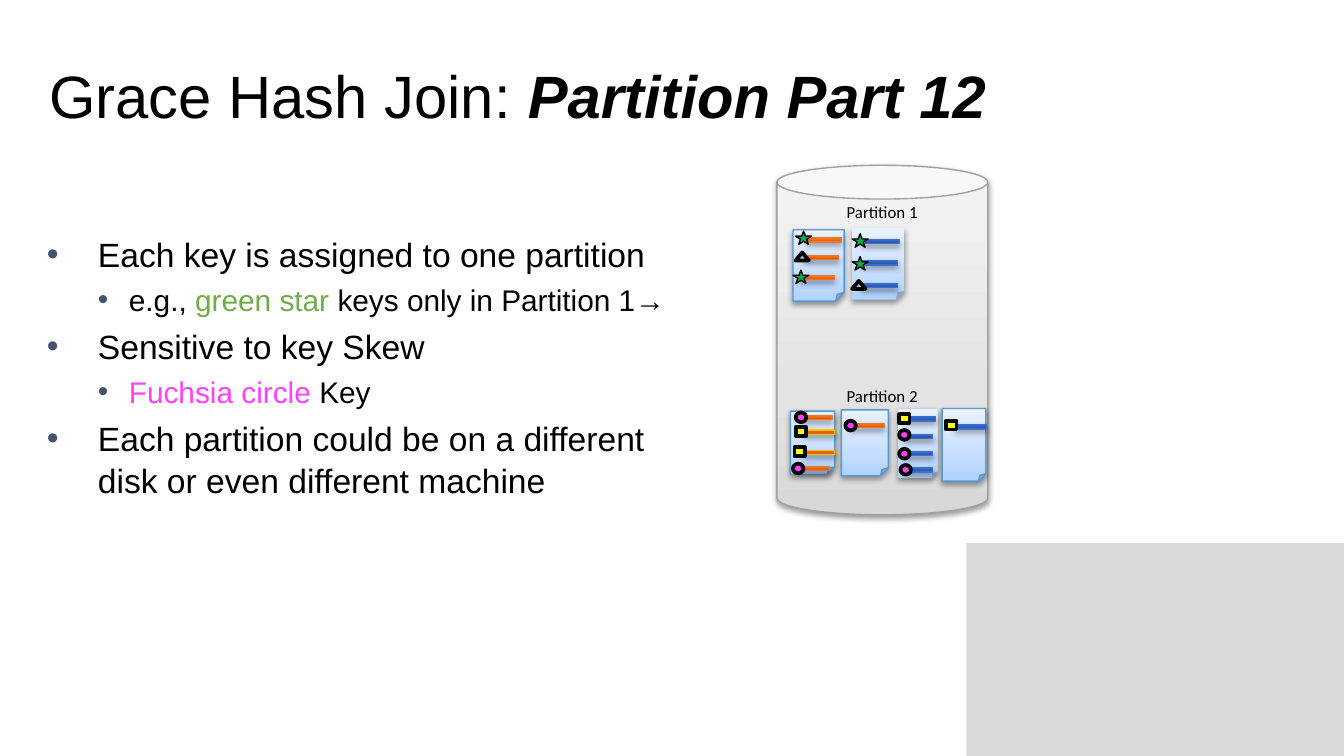
"""Build the slide on Grace hash join partitioning."""
from dataclasses import dataclass

from lxml import etree
from pptx import Presentation
from pptx import util as u
from pptx.dml.color import RGBColor
from pptx.enum import shapes, text
from pptx.oxml import ns

Pt = u.Pt
KIND = shapes.MSO_SHAPE


@dataclass(frozen=True)
class Theme:
    """Colours, fonts and type sizes."""
    ink: str = "000000"
    green: str = "70AD47"
    fuchsia: str = "FF40FF"
    bullet: str = "44516F"
    panel: str = "D9D9D9"
    disk: tuple = ((0, "D8D8D8"), (35, "E3E3E3"), (100, "F4F4F4"))
    disk_edge: str = "A1A1A1"
    page: tuple = ((0, "AFD2FF"), (35, "C6DEFF"), (100, "E9F2FF"))
    page_edge: str = "5698D3"
    orange: tuple = ((0, "C3580F"), (80, "FF7416"), (100, "FF7517"))
    blue: tuple = ((0, "24509E"), (80, "2F69D0"), (100, "2C69D4"))
    font: str = "Arial"
    label_font: str = "Calibri"
    title_size: float = 32
    point_size: float = 18
    detail_size: float = 16
    label_size: float = 9


THEME = Theme()
BARS = {
    "orange": (THEME.orange, "EC792B"),
    "gold": ("E16513", "FFC000"),
    "blue": (THEME.blue, "3F6EC3"),
}
KEYS = {
    "star": (KIND.STAR_5_POINT, 8.6, 7.2, "00B050", 0.75),
    "triangle": (KIND.ISOSCELES_TRIANGLE, 7.2, 4.3, "BFBFBF", 2),
    "circle": (KIND.OVAL, 5.6, 5.2, THEME.fuchsia, 2),
    "square": (KIND.RECTANGLE, 5.6, 4.7, "FFFF00", 2),
}
PAGES = [
    ((424.8, 123.1, 27.4, 38.2), THEME.page_edge, 18.7, [
        ("triangle", 1.4, 12.2, "orange", 5.8, 13.7),
        ("star", 1.4, 0.7, "orange", 7.2, 4.3),
        ("star", 0, 21.6, "orange", 3.6, 24.5)]),
    ((423.4, 220.3, 23.8, 33.8), THEME.page_edge, 16.6, [
        ("circle", 2.9, 0.7, "orange", 5.8, 2.2),
        ("square", 2.9, 8.6, "gold", 7.2, 10.1),
        ("circle", 1.4, 28.1, "orange", 4.3, 29.5),
        ("square", 2.2, 19.4, "gold", 7.2, 20.9)]),
    ((450.7, 219.6, 25.2, 35.3), THEME.page_edge, 18, [
        ("circle", 2.2, 5.8, "orange", 5, 7.2)]),
    ((481, 218.9, 21.6, 37.4), None, 15.1, [
        ("circle", 0.7, 11.5, "blue", 3.6, 13.7),
        ("circle", 0.7, 21.6, "blue", 3.6, 23),
        ("square", 0.7, 2.9, "blue", 5, 4.3),
        ("circle", 1.4, 30.2, "blue", 3.6, 31.7)]),
    ((504.7, 218.9, 23.4, 38.9), THEME.page_edge, 16.6, [
        ("square", 2.2, 6.5, "blue", 7.2, 8.6)]),
    ((456.5, 122.4, 28.1, 38.2), None, 19.4, [
        ("star", 0, 2.9, "blue", 5.8, 5.8),
        ("triangle", 0, 28.1, "blue", 5, 29.5),
        ("star", 0, 15.1, "blue", 5, 17.3)]),
]
POINTS = [
    (0, [("Each key is assigned to one partition", {})]),
    (1, [("e.g., ", {}), ("green star ", {"color": THEME.green}),
         ("keys only in Partition 1→", {})]),
    (0, [("Sensitive to key Skew", {})]),
    (1, [("Fuchsia circle", {"color": THEME.fuchsia}), (" Key", {})]),
    (0, [("Each partition could be on a different disk or even different machine", {})]),
]


def add_child(parent, tag, **attributes):
    """Append a drawing element with its attributes."""
    return etree.SubElement(parent, ns.qn(tag), {k: str(v) for k, v in attributes.items()})


def paint(part, fill):
    """Fill with one colour, or with gradient stops running upwards."""
    if isinstance(fill, str):
        part.fill.solid()
        part.fill.fore_color.rgb = RGBColor.from_string(fill)
        return
    part.fill.gradient()
    part.fill.gradient_angle = 90
    stops = part.element.spPr.find(ns.qn("a:gradFill")).find(ns.qn("a:gsLst"))
    for stop in list(stops):
        stops.remove(stop)
    for position, color in fill:
        stop = add_child(stops, "a:gs", pos=position * 1000)
        add_child(stop, "a:srgbClr", val=color)


def cast_shadow(part, distance, opacity):
    """Give a part a soft black shadow below it."""
    effects = part.element.spPr.find(ns.qn("a:effectLst"))
    shadow = add_child(effects, "a:outerShdw", blurRad=Pt(3), dist=Pt(distance),
                       dir=5400000, rotWithShape=0)
    color = add_child(shadow, "a:srgbClr", val="000000")
    add_child(color, "a:alpha", val=opacity * 1000)


def add_part(slide, kind, box, fill, edge=None, weight=0.75):
    """Add a preset shape with a fill and an optional outline."""
    part = slide.shapes.add_shape(kind, *map(Pt, box))
    part.shadow.inherit = False
    paint(part, fill)
    if edge:
        part.line.color.rgb = RGBColor.from_string(edge)
        part.line.width = Pt(weight)
    else:
        part.line.fill.background()
    return part


def add_run(paragraph, words, size, font=THEME.font, color=THEME.ink, bold=False, italic=False):
    """Add a formatted run of text."""
    run = paragraph.add_run()
    run.text = words
    run.font.size, run.font.name = Pt(size), font
    run.font.bold, run.font.italic = bold, italic
    run.font.color.rgb = RGBColor.from_string(color)


def add_frame(slide, box, inset=(7.2, 3.6)):
    """Add a wrapping text box and return its frame."""
    frame = slide.shapes.add_textbox(*map(Pt, box)).text_frame
    frame.word_wrap = True
    frame.margin_left = frame.margin_right = Pt(inset[0])
    frame.margin_top = frame.margin_bottom = Pt(inset[1])
    return frame


def add_title(slide):
    """Add the slide title."""
    heading = add_frame(slide, (19.4, 24.5, 592.6, 90), (7.2, 7)).paragraphs[0]
    add_run(heading, "Grace Hash Join:", THEME.title_size)
    add_run(heading, " Partition Part 12", THEME.title_size, bold=True, italic=True)


def add_points(slide):
    """Add the bulleted points."""
    frame = add_frame(slide, (18, 121, 365, 206))
    for index, (level, runs) in enumerate(POINTS):
        point = frame.add_paragraph() if index else frame.paragraphs[0]
        size, left, hang, before = ((THEME.detail_size, 44, 16.6, 3) if level
                                    else (THEME.point_size, 27.4, 27.4, 3.8))
        point.level, point.space_before, point.line_spacing = level, Pt(before), 1.04
        properties = point._p.get_or_add_pPr()
        properties.set("marL", str(Pt(left)))
        properties.set("indent", str(-Pt(hang)))
        add_child(add_child(properties, "a:buClr"), "a:srgbClr", val=THEME.bullet)
        add_child(properties, "a:buFont", typeface=THEME.font)
        add_child(properties, "a:buChar", char="•")
        for words, look in runs:
            add_run(point, words, size, **look)


def add_disk(slide):
    """Add the disk and its partition labels."""
    disk = add_part(slide, KIND.CAN, (416.2, 88.6, 113, 187.2), THEME.disk, THEME.disk_edge)
    disk.adjustments[0] = 0.16
    cast_shadow(disk, 1.6, 38)
    for number, top in ((1, 104.4), (2, 203)):
        label = add_frame(slide, (446.6, top, 52, 18), (2.9, 3.6)).paragraphs[0]
        label.alignment = text.PP_ALIGN.CENTER
        add_run(label, f"Partition {number}", THEME.label_size, THEME.label_font)


def add_page(slide, box, edge, bar_width, records):
    """Add a page holding records, each a bar with its key."""
    left, top = box[:2]
    cast_shadow(add_part(slide, KIND.FOLDED_CORNER, box, THEME.page, edge), 1.6, 38)
    for key, key_x, key_y, bar, bar_x, bar_y in records:
        bar_box = (left + bar_x, top + bar_y, bar_width, 2.3)
        cast_shadow(add_part(slide, KIND.RECTANGLE, bar_box, *BARS[bar]), 1.8, 35)
        kind, width, height, fill, weight = KEYS[key]
        add_part(slide, kind, (left + key_x, top + key_y, width, height), fill, THEME.ink, weight)


def main():
    """Build and save the slide."""
    deck = Presentation()
    deck.slide_width, deck.slide_height = Pt(720), Pt(405)
    slide = deck.slides.add_slide(deck.slide_layouts[6])
    add_part(slide, KIND.RECTANGLE, (517.7, 290.9, 202.3, 114.1), THEME.panel)
    add_title(slide)
    add_points(slide)
    add_disk(slide)
    for page in PAGES:
        add_page(slide, *page)
    deck.save("out.pptx")


if __name__ == "__main__":
    main()
